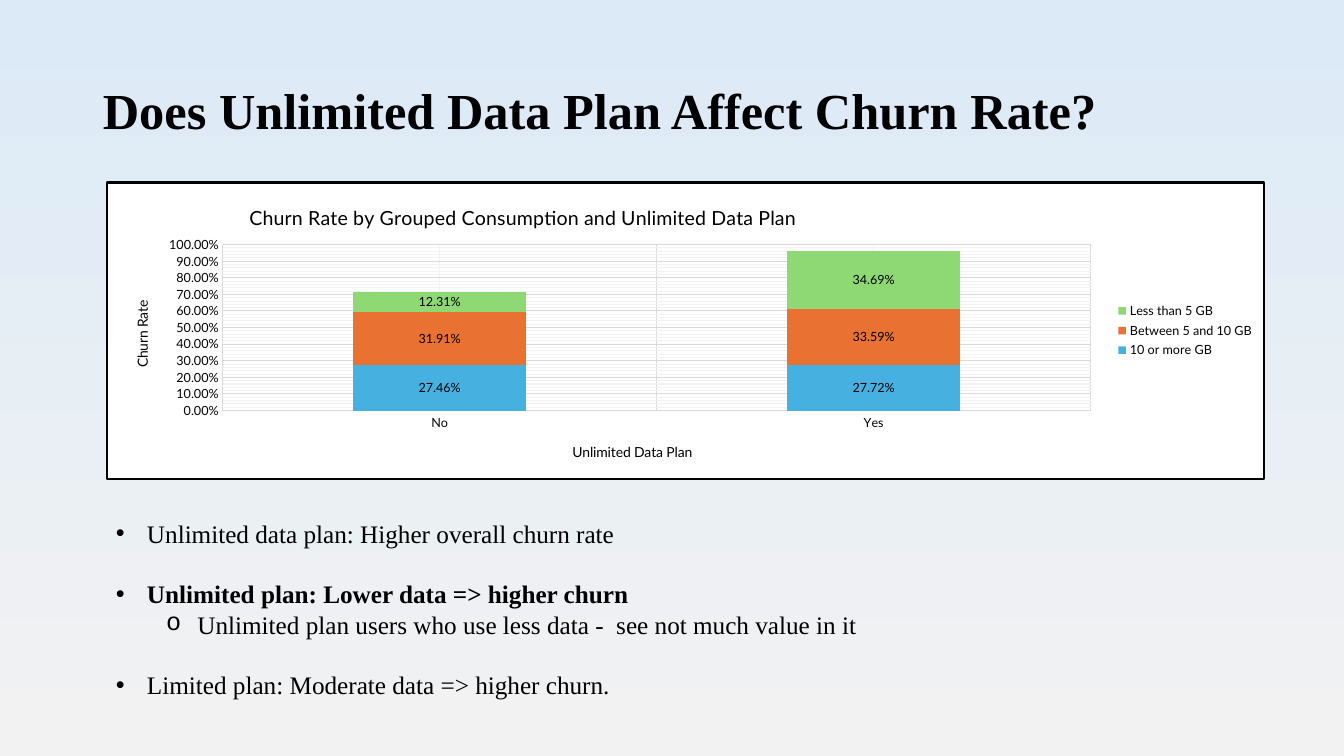
from lxml.etree import SubElement
from pptx import Presentation
from pptx.chart.data import CategoryChartData
from pptx.dml.color import RGBColor
from pptx.enum.chart import XL_CHART_TYPE, XL_LABEL_POSITION, XL_LEGEND_POSITION, XL_TICK_MARK
from pptx.enum.text import MSO_ANCHOR, PP_ALIGN
from pptx.oxml import parse_xml
from pptx.oxml.ns import nsdecls, qn
from pptx.util import Inches, Pt

HUES = {"ink": "000000", "sky": "DCEAF7", "mist": "F2F2F2", "grid": "D9D9D9",
        "white": "FFFFFF", "blue": "46B1E1", "rust": "E97132", "green": "8ED973"}
RGB = {name: RGBColor.from_string(code) for name, code in HUES.items()}


def style(font, **extra):
    values = {"name": "Lato", "size": Pt(9), "bold": False} | extra
    for key, value in values.items():
        setattr(font, key, value)
    font.color.rgb = RGB["ink"]


def place(node, index, box):
    for old in node.findall(qn("c:layout")):
        node.remove(old)
    layout = parse_xml(f'<c:layout {nsdecls("c")}><c:manualLayout/></c:layout>')
    node.insert(index, layout)
    for key, value in box.items():
        SubElement(layout[0], qn(f"c:{key}")).set("val", str(value))


deck = Presentation()
deck.slide_width, deck.slide_height = Inches(13.33), Inches(7.5)
slide = deck.slides.add_slide(deck.slide_layouts[5])
back = slide.background.fill
back.gradient()
back.gradient_angle = 270
for stop, hue, point in zip(back.gradient_stops, ("sky", "mist"), (0, 1)):
    stop.color.rgb = RGB[hue]
    stop.position = point

title = slide.shapes.title
spot = {"left": 0.92, "top": 0.4, "width": 11.5, "height": 1.45}
for key, value in spot.items():
    setattr(title, key, Inches(value))
title.text_frame.text = "Does Unlimited Data Plan Affect Churn Rate?"
title.text_frame.vertical_anchor = MSO_ANCHOR.MIDDLE
head = title.text_frame.paragraphs[0]
head.alignment = PP_ALIGN.LEFT
head.line_spacing = 0.9
style(head.runs[0].font, name="Times New Roman", size=Pt(36), bold=True)

data = CategoryChartData(number_format="0.00%")
data.categories = ["No", "Yes"]
groups = [("10 or more GB", (0.2746, 0.2772), "blue"),
          ("Between 5 and 10 GB", (0.3191, 0.3359), "rust"),
          ("Less than 5 GB", (0.1231, 0.3469), "green")]
for name, rates, hue in groups:
    data.add_series(name, rates)
chart = slide.shapes.add_chart(
    XL_CHART_TYPE.COLUMN_STACKED, Inches(1.05), Inches(1.8),
    Inches(11.5), Inches(2.96), data).chart
style(chart.font, size=Pt(10))
frame = parse_xml(
    f'<c:spPr {nsdecls("c", "a")}>'
    f'<a:solidFill><a:srgbClr val="{HUES["white"]}"/></a:solidFill>'
    f'<a:ln w="{Pt(1.5)}"><a:solidFill><a:srgbClr val="{HUES["ink"]}"/></a:solidFill></a:ln>'
    '</c:spPr>')
chart._chartSpace.find(qn("c:chart")).addnext(frame)

plot = chart.plots[0]
for key, value in {"gap_width": 150, "overlap": 100, "vary_by_categories": False}.items():
    setattr(plot, key, value)
for bar, (name, rates, hue) in zip(plot.series, groups):
    bar.format.fill.solid()
    bar.format.fill.fore_color.rgb = RGB[hue]
    label = bar.data_labels
    marks = {"show_value": True, "position": XL_LABEL_POSITION.CENTER,
             "number_format": "0.00%", "number_format_is_linked": False}
    for key, value in marks.items():
        setattr(label, key, value)
    style(label.font)

across, up = chart.category_axis, chart.value_axis
for axis in (across, up):
    flags = {"major_tick_mark": XL_TICK_MARK.NONE, "minor_tick_mark": XL_TICK_MARK.NONE,
             "has_major_gridlines": True, "has_minor_gridlines": True}
    for key, value in flags.items():
        setattr(axis, key, value)
    style(axis.tick_labels.font)
    axis.major_gridlines.format.line.color.rgb = RGB["grid"]
    axis.major_gridlines.format.line.width = Pt(0.75)
    axis._element.find(qn("c:minorGridlines")).append(parse_xml(
        f'<c:spPr {nsdecls("c", "a")}><a:ln w="{Pt(0.75)}"><a:solidFill>'
        f'<a:srgbClr val="{HUES["mist"]}"/></a:solidFill></a:ln></c:spPr>'))
across.format.line.color.rgb = RGB["grid"]
across.format.line.width = Pt(0.75)
up.format.line.fill.background()
for key, value in {"minimum_scale": 0, "maximum_scale": 1, "major_unit": 0.1}.items():
    setattr(up, key, value)
up.tick_labels.number_format = "0.00%"
up.tick_labels.number_format_is_linked = False

heads = [(chart.chart_title, "Churn Rate by Grouped Consumption and Unlimited Data Plan", 14, 0.12, 0.06),
         (across.axis_title, "Unlimited Data Plan", 10, 0.4, 0.87),
         (up.axis_title, "Churn Rate", 10, 0.02, 0.39)]
for item, words, size, x, y in heads:
    item.text_frame.text = words
    style(item.text_frame.paragraphs[0].runs[0].font, size=Pt(size))
    place(item._element, 1, {"xMode": "edge", "yMode": "edge", "x": x, "y": y})
turn = up.axis_title.text_frame._txBody.find(qn("a:bodyPr"))
turn.set("rot", "-5400000")
turn.set("vert", "horz")
place(chart._chartSpace.find(qn("c:chart")).find(qn("c:plotArea")), 0,
      {"layoutTarget": "inner", "xMode": "edge", "yMode": "edge",
       "x": 0.1, "y": 0.21, "w": 0.75, "h": 0.56})

chart.has_legend = True
chart.legend.position = XL_LEGEND_POSITION.RIGHT
chart.legend.include_in_layout = False
style(chart.legend.font)

notes = slide.shapes.add_textbox(Inches(1.05), Inches(5.08), Inches(11.8), Inches(1.92)).text_frame
notes.word_wrap = True
notes.vertical_anchor = MSO_ANCHOR.MIDDLE
points = [("Unlimited data plan: Higher overall churn rate", 0, False, 0),
          ("Unlimited plan: Lower data => higher churn", 0, True, 21.6),
          ("Unlimited plan users who use less data -  see not much value in it", 1, False, 0),
          ("Limited plan: Moderate data => higher churn.", 0, False, 21.6)]
for count, (words, level, bold, gap) in enumerate(points):
    para = notes.add_paragraph() if count else notes.paragraphs[0]
    para.level = level
    para.space_before = Pt(gap)
    run = para.add_run()
    run.text = words
    style(run.font, name="Times New Roman", size=Pt(18), bold=bold)
    props = para._p.get_or_add_pPr()
    props.set("marL", str(Inches(0.31 + 0.5 * level)))
    props.set("indent", str(Inches(-0.31)))
    SubElement(props, qn("a:buFont")).set("typeface", ("Arial", "Courier New")[level])
    SubElement(props, qn("a:buChar")).set("char", "•o"[level])

deck.save("out.pptx")
